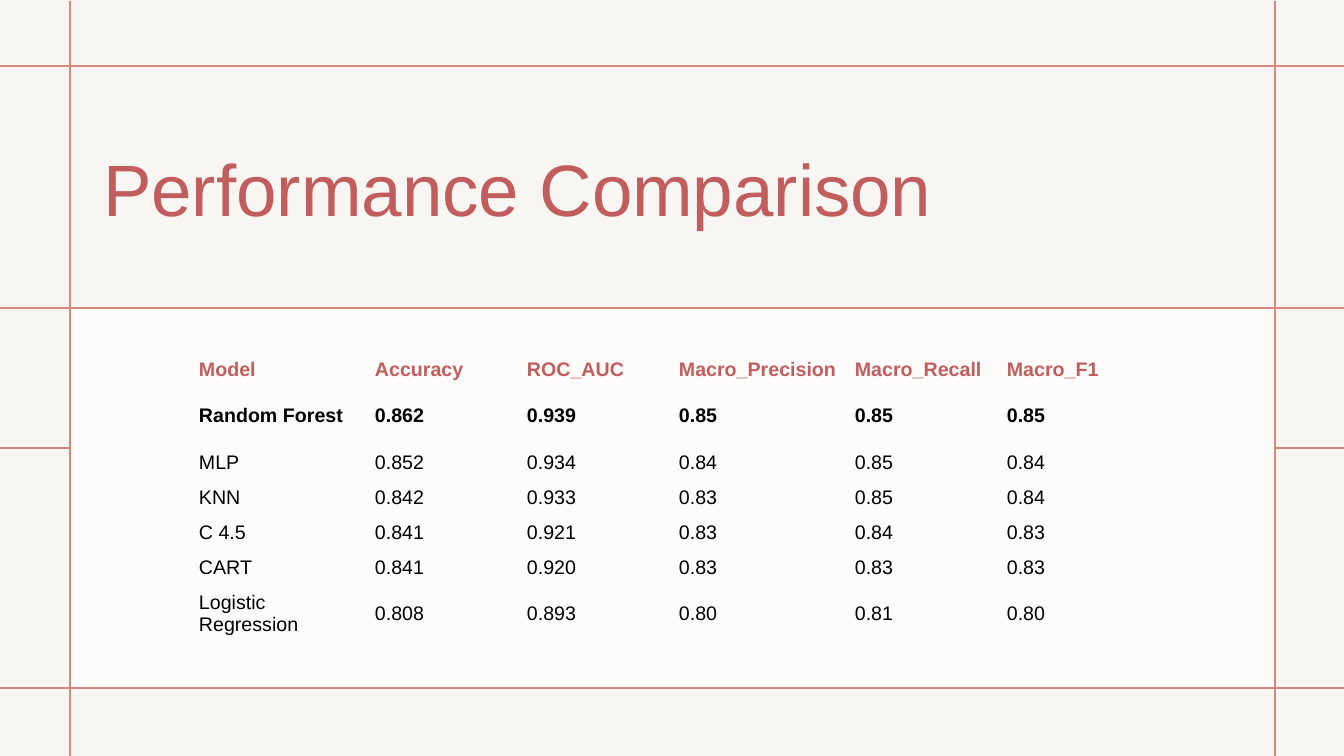
import pptx
import pptx.dml.color
import pptx.enum.shapes
import pptx.enum.text
import pptx.oxml
import pptx.oxml.ns
import pptx.util

PX = 914400 / 100.8  # EMU in one px
WIDTH, HEIGHT = 1344, 756
RED = pptx.dml.color.RGBColor(0xC2, 0x5D, 0x5D)
CORAL = pptx.dml.color.RGBColor(0xD8, 0x89, 0x7E)
CREAM = pptx.dml.color.RGBColor(0xF8, 0xF6, 0xF2)
WHITE = pptx.dml.color.RGBColor(0xFF, 0xFF, 0xFF)
BLACK = pptx.dml.color.RGBColor(0, 0, 0)


def px(*lengths):
    return [pptx.util.Emu(round(length * PX)) for length in lengths]


def write(frame, text, size=14, color=BLACK, bold=False):
    paragraph = frame.paragraphs[0]
    paragraph.alignment = pptx.enum.text.PP_ALIGN.LEFT
    run = paragraph.add_run()
    run.text = text
    run.font.name = "Arial"
    run.font.size = pptx.util.Pt(size)
    run.font.color.rgb = color
    run.font.bold = bold


deck = pptx.Presentation()
deck.slide_width, deck.slide_height = px(WIDTH, HEIGHT)
slide = deck.slides.add_slide(deck.slide_layouts[5])

# Cream backdrop and translucent white panel
LEFT, RIGHT, PANEL_TOP, PANEL_BOTTOM = 70, 1275, 308, 688
for box, color in (
    ((0, 0, WIDTH, HEIGHT), CREAM),
    ((LEFT, PANEL_TOP, RIGHT - LEFT, PANEL_BOTTOM - PANEL_TOP), WHITE),
):
    panel = slide.shapes.add_shape(pptx.enum.shapes.MSO_SHAPE.RECTANGLE, *px(*box))
    panel.shadow.inherit = False
    panel.fill.solid()
    panel.fill.fore_color.rgb = color
    panel.line.fill.background()
white = panel.element.spPr.find(".//" + pptx.oxml.ns.qn("a:srgbClr"))
white.append(pptx.oxml.parse_xml(
    f'<a:alpha {pptx.oxml.ns.nsdecls("a")} val="75000"/>'))

# Coral grid: full rules, then short ticks in both margins
MIDDLE = 448
rules = [(0, y, WIDTH, y) for y in (66, PANEL_TOP, PANEL_BOTTOM)]
rules += [(x, 1, x, HEIGHT) for x in (LEFT, RIGHT)]
rules += [(0, MIDDLE, LEFT, MIDDLE), (RIGHT, MIDDLE, WIDTH, MIDDLE)]
for ends in rules:
    rule = slide.shapes.add_connector(
        pptx.enum.shapes.MSO_CONNECTOR.STRAIGHT, *px(*ends))
    rule.line.color.rgb = CORAL
    rule.line.width = pptx.util.Pt(1)
    rule.element.spPr.append(pptx.oxml.parse_xml(
        f'<a:effectLst {pptx.oxml.ns.nsdecls("a")}/>'))

# Title, brought in front of the backdrop
title = slide.shapes.title
title.element.getparent().append(title.element)
title.left, title.top, title.width, title.height = px(93, 78, 1159, 219)
title.text_frame.word_wrap = True
title.text_frame.auto_size = pptx.enum.text.MSO_AUTO_SIZE.NONE
title.text_frame.vertical_anchor = pptx.enum.text.MSO_ANCHOR.MIDDLE
write(title.text_frame, "Performance Comparison", size=52, color=RED)

# Scores by model
scores = [
    ("Model", "Accuracy", "ROC_AUC", "Macro_Precision", "Macro_Recall", "Macro_F1"),
    ("Random Forest", "0.862", "0.939", "0.85", "0.85", "0.85"),
    ("MLP", "0.852", "0.934", "0.84", "0.85", "0.84"),
    ("KNN", "0.842", "0.933", "0.83", "0.85", "0.84"),
    ("C 4.5", "0.841", "0.921", "0.83", "0.84", "0.83"),
    ("CART", "0.841", "0.920", "0.83", "0.83", "0.83"),
    ("Logistic Regression", "0.808", "0.893", "0.80", "0.81", "0.80"),
]
column_widths = [176, 152, 152, 176, 152, 152]
row_heights = [35, 58, 35, 35, 35, 35, 58]
scores_frame = slide.shapes.add_table(
    len(scores), len(column_widths),
    *px(191, 352, sum(column_widths), sum(row_heights)))
score_table = scores_frame.table
score_table.horz_banding = False
# Style without fills or grid lines
scores_frame.element.find(".//" + pptx.oxml.ns.qn("a:tableStyleId")).text = (
    "{2D5ABB26-0587-4C30-8999-92F81FD0307C}")
for column, width in zip(score_table.columns, px(*column_widths)):
    column.width = width
for row, height in zip(score_table.rows, px(*row_heights)):
    row.height = height

for r, values in enumerate(scores):
    for c, value in enumerate(values):
        cell = score_table.cell(r, c)
        cell.fill.background()
        cell.vertical_anchor = pptx.enum.text.MSO_ANCHOR.MIDDLE
        cell.margin_left, cell.margin_right = px(8, 8)
        cell.margin_top, cell.margin_bottom = px(4, 4)
        write(cell.text_frame, value, color=RED if r == 0 else BLACK, bold=r < 2)

deck.save("out.pptx")
